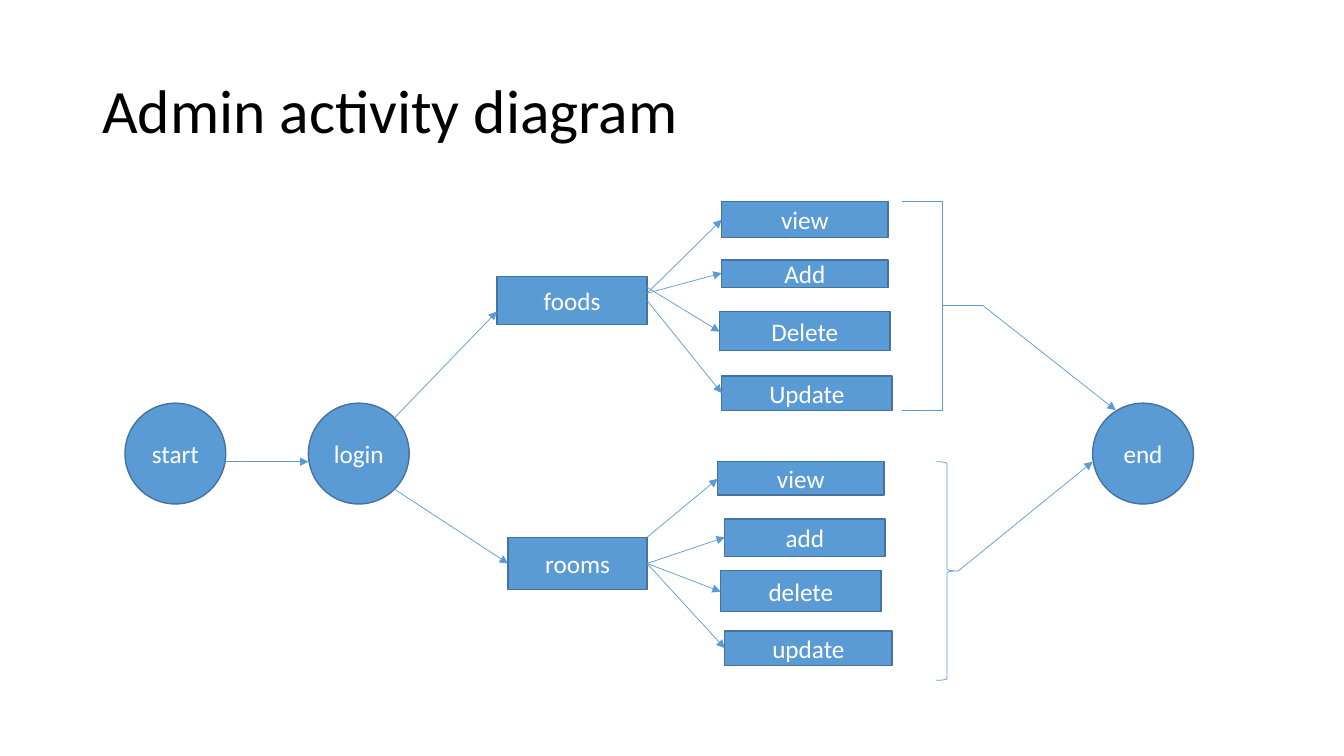
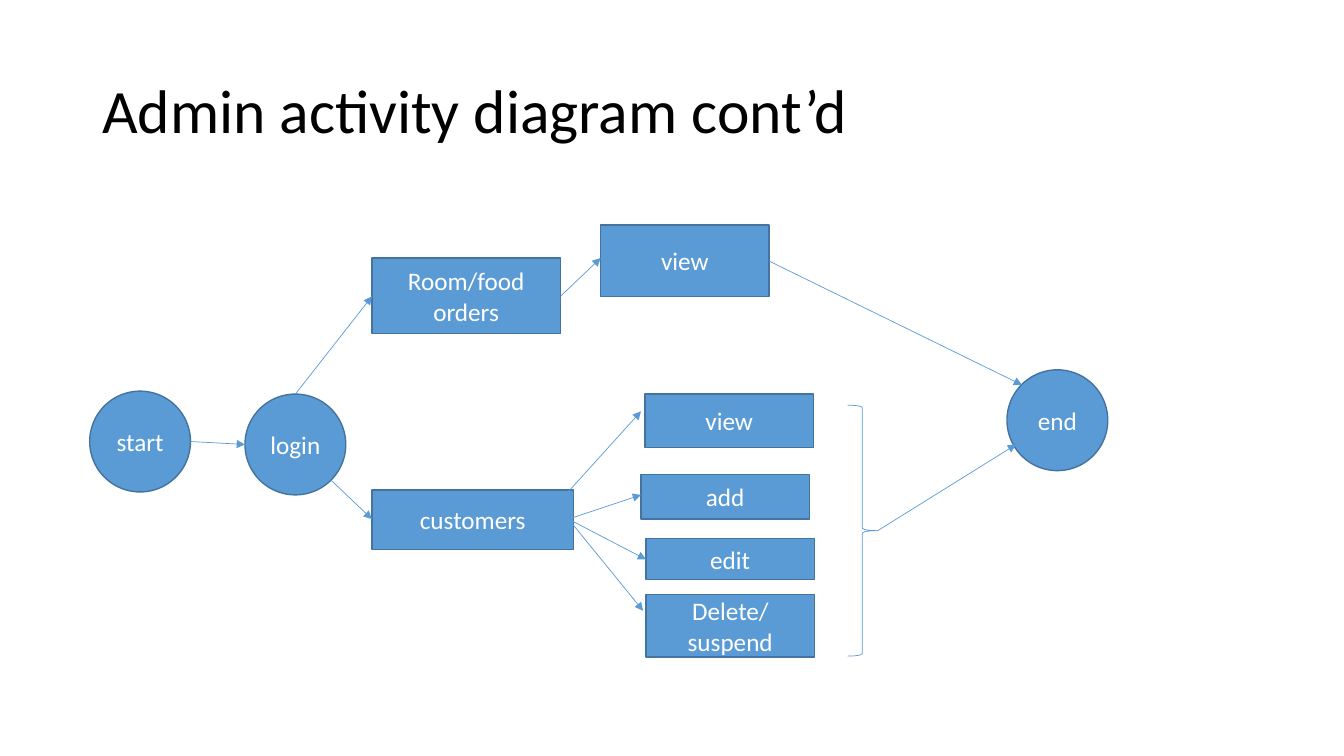
from pptx import Presentation
from pptx.dml.color import RGBColor
from pptx.enum.shapes import MSO_CONNECTOR, MSO_SHAPE
from pptx.enum.text import MSO_ANCHOR, PP_ALIGN
from pptx.oxml.ns import qn
from pptx.util import Pt
from lxml.etree import SubElement

# Shared look
BLUE, EDGE, WHITE, BLACK = "5B9BD5", "43739E", "FFFFFF", "000000"
CIRCLE = 72
TITLE_AT = (66, 28.8, 828, 104.4)


def rgb(code):
    return RGBColor.from_string(code)


def write(sp, text, size, color, align):
    tf = sp.text_frame
    tf.word_wrap = True
    tf.vertical_anchor = MSO_ANCHOR.MIDDLE
    p = tf.paragraphs[0]
    p.alignment = align
    r = p.add_run()
    r.text = text
    r.font.color.rgb = rgb(color)
    for name, value in {"name": "Calibri", "size": Pt(size)}.items():
        setattr(r.font, name, value)
    return p


# Circles: text, left, top. Boxes: text, left, top, width, height.
# Braces: left, top, width, height, adjustments.
# Arrows: start point, then every end point reached from it.
slides = [
    {
        "title": "Admin activity diagram",
        "circles": [("start", 89.3, 288), ("login", 220.3, 288), ("end", 780.5, 288)],
        "boxes": [
            ("foods", 355, 197.3, 107.3, 34.6),
            ("rooms", 362.9, 383.8, 99.4, 37.4),
            ("view", 515.5, 144, 118.8, 25.9),
            ("Add", 515.5, 185.8, 118.8, 19.4),
            ("Delete", 514.1, 222.5, 121.7, 28.1),
            ("Update", 515.5, 268.6, 121.7, 24.5),
            ("view", 512.6, 329.8, 118.8, 23.8),
            ("add", 517.7, 370.8, 114.5, 26.6),
            ("delete", 514.8, 407.5, 114.5, 29.5),
            ("update", 517.7, 450.7, 119.5, 24.5),
        ],
        "braces": [
            (644.4, 144, 57.6, 149, (0, 0.5)),
            (668.9, 329.8, 15.1, 156.2, ()),
        ],
        "arrows": [
            ((161.3, 329.8), [(220.3, 329.8)]),
            ((281.5, 298.8), [(355, 222.5)]),
            ((281.5, 349.2), [(362.9, 402.5)]),
            ((462.2, 214.6), [(515.5, 280.8)]),
            ((462.2, 205.2), [(514.1, 236.9)]),
            ((462.2, 209.5), [(515.5, 195.1), (515.5, 157)]),
            ((462.2, 383.8), [(512.6, 342)]),
            ((462.2, 402.5), [(517.7, 383.8), (514.8, 422.6), (517.7, 463)]),
            ((702, 218.2), [(797, 293)]),
            ((684, 408.2), [(780.5, 329.8)]),
        ],
    },
    {
        "title": "Admin activity diagram cont’d",
        "circles": [("start", 64.1, 279.4), ("login", 175, 281.5), ("end", 719.3, 264.2)],
        "boxes": [
            ("Room/food orders", 265.7, 184.3, 134.6, 54),
            ("customers", 265.7, 349.9, 144, 42.5),
            ("view", 429.1, 160.6, 120.2, 51.1),
            ("view", 460.8, 281.5, 120.2, 38.2),
            ("add", 457.9, 339.1, 120.2, 31.7),
            ("edit", 461.5, 384.5, 120.2, 29.5),
            ("Delete/suspend", 461.5, 424.8, 120.2, 44.6),
        ],
        "braces": [(605.5, 289.4, 20.9, 179.3, ())],
        "arrows": [
            ((136.1, 315.4), [(175, 317.5)]),
            ((236.2, 342.7), [(265.7, 370.8)]),
            ((211, 281.5), [(265.7, 211.7)]),
            ((400.3, 211.7), [(429.1, 184.3)]),
            ((549.4, 186.5), [(730.1, 275)]),
            ((403.9, 353.5), [(457.9, 293.8)]),
            ((406.1, 370.8), [(457.9, 353.5), (461.5, 399.6), (459.4, 436.3)]),
            ((626.4, 379.4), [(725.8, 317.5)]),
        ],
    },
]

prs = Presentation()
prs.slide_width, prs.slide_height = Pt(960), Pt(540)

for diagram in slides:
    s = prs.slides.add_slide(prs.slide_layouts[6])

    # Title
    tb = s.shapes.add_textbox(*map(Pt, TITLE_AT))
    p = write(tb, diagram["title"], 44, BLACK, PP_ALIGN.LEFT)
    p.line_spacing = 0.9

    # Circles and boxes
    nodes = [(MSO_SHAPE.OVAL, *c, CIRCLE, CIRCLE) for c in diagram["circles"]]
    nodes += [(MSO_SHAPE.RECTANGLE, *b) for b in diagram["boxes"]]
    for kind, text, *at in nodes:
        sp = s.shapes.add_shape(kind, *map(Pt, at))
        sp.shadow.inherit = False
        sp.fill.solid()
        sp.fill.fore_color.rgb = rgb(BLUE)
        sp.line.color.rgb = rgb(EDGE)
        sp.line.width = Pt(1)
        write(sp, text, 18, WHITE, PP_ALIGN.CENTER)

    # Braces
    for *at, adjustments in diagram["braces"]:
        sp = s.shapes.add_shape(MSO_SHAPE.RIGHT_BRACE, *map(Pt, at))
        sp.shadow.inherit = False
        sp.fill.background()
        sp.line.color.rgb = rgb(BLUE)
        sp.line.width = Pt(0.5)
        for i, value in enumerate(adjustments):
            sp.adjustments[i] = value

    # Arrows
    for start, ends in diagram["arrows"]:
        for end in ends:
            c = s.shapes.add_connector(MSO_CONNECTOR.STRAIGHT, *map(Pt, start + end))
            c.line.color.rgb = rgb(BLUE)
            c.line.width = Pt(0.5)
            SubElement(c.line._get_or_add_ln(), qn("a:tailEnd"), type="triangle")
            SubElement(c._element.spPr, qn("a:effectLst"))

prs.save("out.pptx")
